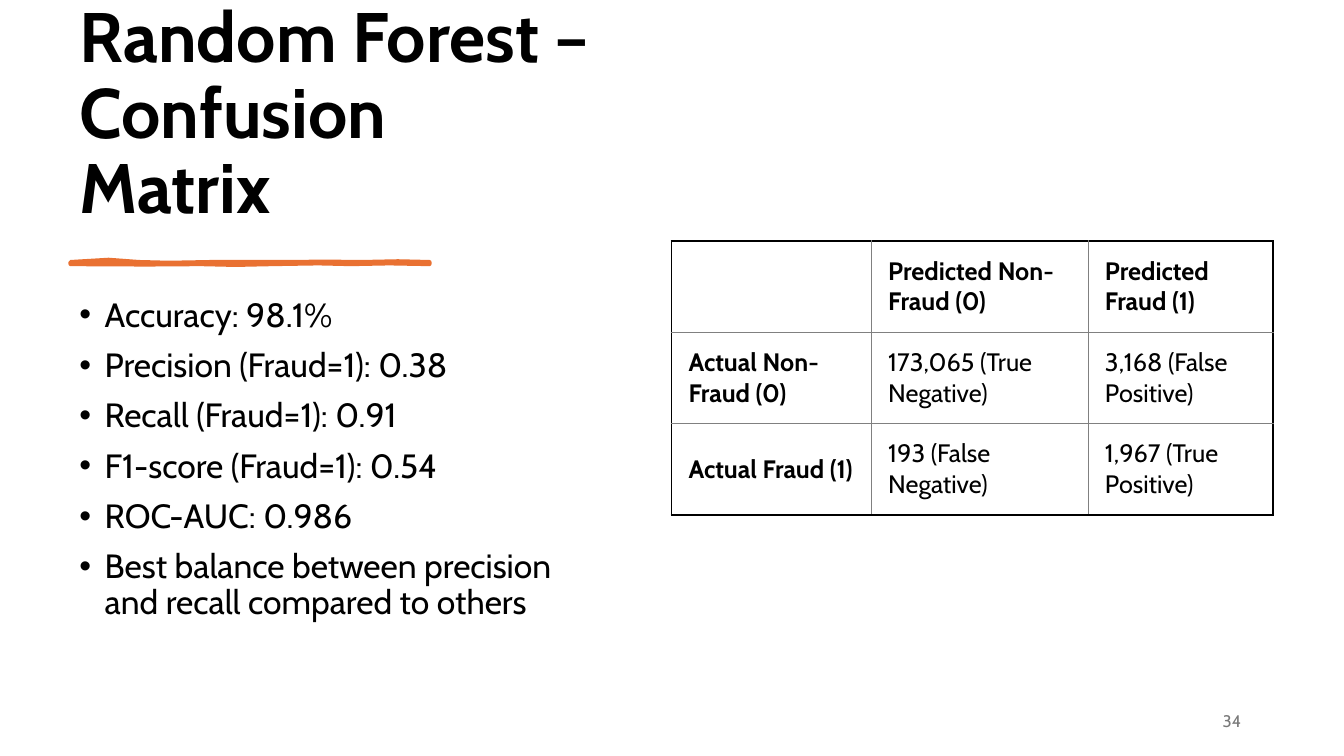
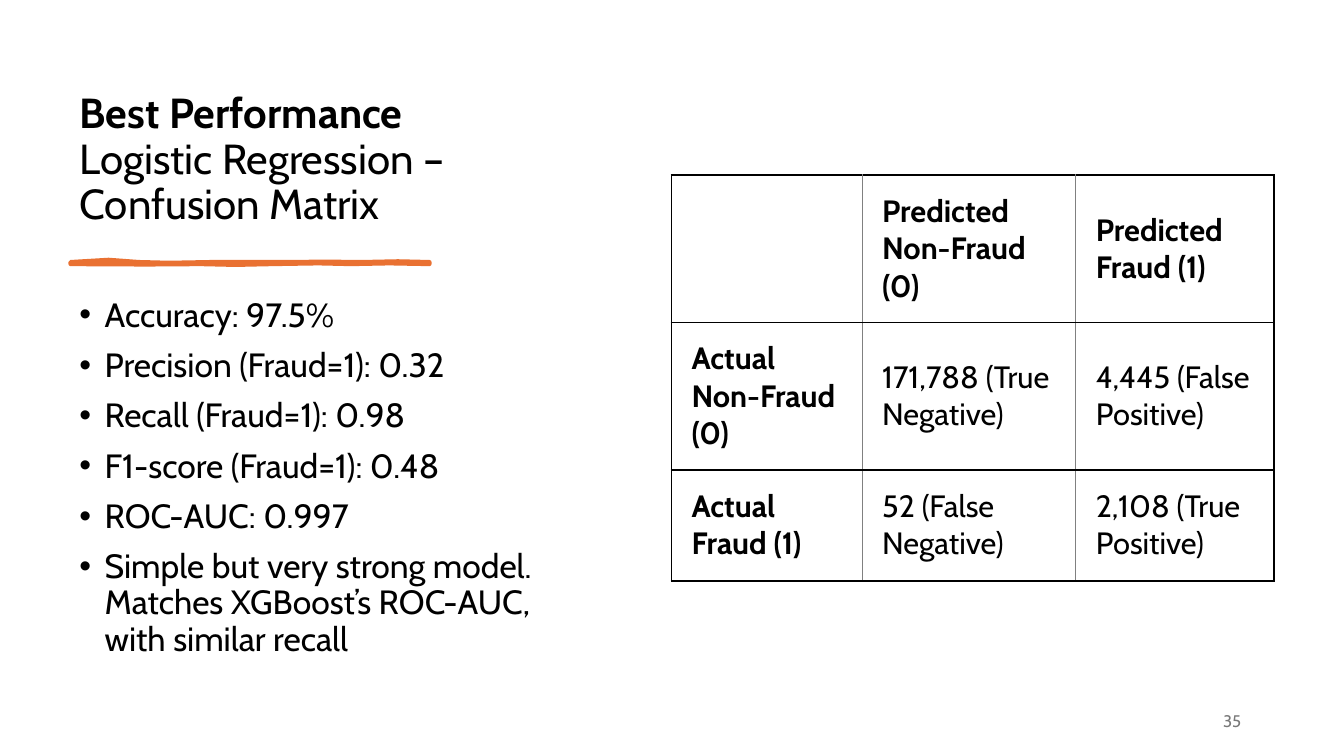
import pptx
import pptx.util
import pptx.dml.color
import pptx.enum.text
import pptx.oxml
import pptx.oxml.ns
from lxml import etree

Inches = pptx.util.Inches
Pt = pptx.util.Pt
PP_ALIGN = pptx.enum.text.PP_ALIGN
MSO_ANCHOR = pptx.enum.text.MSO_ANCHOR
qn = pptx.oxml.ns.qn

STROKE_START = (0.7, 2.6)
STROKE_CURVES = [
    (0.97, 2.57, 1.21, 2.57, 1.38, 2.6), (1.55, 2.62, 1.77, 2.6, 2.09, 2.6),
    (2.41, 2.59, 2.6, 2.61, 2.84, 2.6), (3.08, 2.58, 3.39, 2.61, 3.59, 2.6),
    (3.79, 2.58, 4.12, 2.6, 4.26, 2.6), (4.26, 2.6, 4.26, 2.61, 4.26, 2.62),
    (4.08, 2.62, 3.64, 2.6, 3.48, 2.62), (3.32, 2.63, 3.04, 2.59, 2.7, 2.62),
    (2.35, 2.64, 2.31, 2.62, 1.99, 2.62), (1.66, 2.61, 1.32, 2.64, 0.7, 2.62),
]


def curve_points(start, curves, steps=2):
    x0, y0 = start
    points = []
    for x1, y1, x2, y2, x3, y3 in curves:
        for i in range(1, steps + 1):
            t = i / steps
            u = 1 - t
            a, b, c, d = u ** 3, 3 * u * u * t, 3 * u * t * t, t ** 3
            points.append((Inches(a * x0 + b * x1 + c * x2 + d * x3),
                           Inches(a * y0 + b * y1 + c * y2 + d * y3)))
        x0, y0 = x3, y3
    return points


class Deck:
    FONT = "Cabin"
    COLORS = {"text": "000000", "accent": "E97132", "grid": "808080",
              "number": "797979", "background": "FFFFFF"}

    def __init__(self):
        self.prs = pptx.Presentation()
        self.prs.slide_width = Inches(13.33)
        self.prs.slide_height = Inches(7.5)
        self.s = None

    def color(self, name):
        return pptx.dml.color.RGBColor.from_string(self.COLORS[name])

    def new_slide(self):
        self.s = self.prs.slides.add_slide(self.prs.slide_layouts[5])
        fill = self.s.background.fill
        fill.solid()
        fill.fore_color.rgb = self.color("background")

    def run(self, p, text, size, bold=False, color="text"):
        r = p.add_run()
        r.text = text
        r.font.name = self.FONT
        r.font.size = Pt(size)
        r.font.bold = bold
        r.font.color.rgb = self.color(color)

    def text_box(self, left, top, width, height, anchor):
        tb = self.s.shapes.add_textbox(Inches(left), Inches(top), Inches(width), Inches(height))
        tf = tb.text_frame
        tf.word_wrap = True
        tf.vertical_anchor = anchor
        return tf

    def title(self, lines, size):
        sp = self.s.shapes.title
        sp.left, sp.top = Inches(0.69), Inches(0.7)
        sp.width, sp.height = Inches(5.27), Inches(1.62)
        tf = sp.text_frame
        tf.word_wrap = True
        tf.auto_size = pptx.enum.text.MSO_AUTO_SIZE.NONE
        tf.vertical_anchor = MSO_ANCHOR.BOTTOM
        p = tf.paragraphs[0]
        p.alignment = PP_ALIGN.LEFT
        p.line_spacing = 0.9
        for i, (text, bold) in enumerate(lines):
            if i:
                p.add_line_break()
            self.run(p, text, size, bold)

    def brush_stroke(self):
        fb = self.s.shapes.build_freeform(*map(Inches, STROKE_START))
        fb.add_line_segments(curve_points(STROKE_START, STROKE_CURVES), close=True)
        sp = fb.convert_to_shape()
        sp.shadow.inherit = False
        sp.fill.solid()
        sp.fill.fore_color.rgb = self.color("accent")
        sp.line.color.rgb = self.color("accent")
        sp.line.width = Pt(3)

    def bullets(self, items):
        tf = self.text_box(0.69, 2.91, 5.27, 3.88, MSO_ANCHOR.TOP)
        for i, text in enumerate(items):
            p = tf.add_paragraph() if i else tf.paragraphs[0]
            p.line_spacing = 0.9
            if i:
                p.space_before = Pt(10)
            pPr = p._p.get_or_add_pPr()
            pPr.set("marL", str(Inches(0.25)))
            pPr.set("indent", str(-Inches(0.25)))
            etree.SubElement(pPr, qn("a:buFont")).set("typeface", "Arial")
            etree.SubElement(pPr, qn("a:buChar")).set("char", "•")
            self.run(p, text, 24)

    def borders(self, cell, strong):
        tcPr = cell._tc.get_or_add_tcPr()
        for i, side in enumerate("LRTB"):
            name, width = ("text", 1.5) if side in strong else ("grid", 0.5)
            ln = etree.Element(qn("a:ln" + side), w=str(Pt(width)))
            fill = etree.SubElement(ln, qn("a:solidFill"))
            etree.SubElement(fill, qn("a:srgbClr")).set("val", self.COLORS[name])
            tcPr.insert(i, ln)

    def matrix(self, top, cols, rows, cells, size, insets, strong_rows=False):
        shape = self.s.shapes.add_table(len(rows), len(cols), Inches(6.66), Inches(top),
                                        Inches(sum(cols)), Inches(sum(rows)))
        table = shape.table
        table.first_row = table.horz_banding = False
        for column, width in zip(table.columns, cols):
            column.width = Inches(width)
        for row, height in zip(table.rows, rows):
            row.height = Inches(height)
        for i, texts in enumerate(cells):
            for j, text in enumerate(texts):
                cell = table.cell(i, j)
                cell.fill.background()
                cell.vertical_anchor = MSO_ANCHOR.MIDDLE
                (cell.margin_left, cell.margin_top,
                 cell.margin_right, cell.margin_bottom) = map(Inches, insets)
                edges = {"L": j == 0, "R": j == len(cols) - 1,
                         "T": strong_rows or i == 0,
                         "B": strong_rows or i == len(rows) - 1}
                self.borders(cell, [side for side, on in edges.items() if on])
                if text:
                    self.run(cell.text_frame.paragraphs[0], text, size, i == 0 or j == 0)

    def slide_number(self, number):
        p = self.text_box(9.41, 6.95, 3, 0.4, MSO_ANCHOR.MIDDLE).paragraphs[0]
        p.alignment = PP_ALIGN.RIGHT
        self.run(p, str(number), 12, color="number")

    def model_slide(self, number, title, title_size, scores, remark, counts, **layout):
        self.new_slide()
        self.title(title, title_size)
        self.brush_stroke()
        labels = ("Accuracy", "Precision (Fraud=1)", "Recall (Fraud=1)",
                  "F1-score (Fraud=1)", "ROC-AUC")
        self.bullets([f"{label}: {score}" for label, score in zip(labels, scores)] + [remark])
        tn, fp, fn, tp = counts
        cells = [
            ["", "Predicted Non-Fraud (0)", "Predicted Fraud (1)"],
            ["Actual Non-Fraud (0)", f"{tn} (True Negative)", f"{fp} (False Positive)"],
            ["Actual Fraud (1)", f"{fn} (False Negative)", f"{tp} (True Positive)"],
        ]
        self.matrix(cells=cells, **layout)
        self.slide_number(number)


def main():
    deck = Deck()
    deck.model_slide(
        34, [("Random Forest – Confusion Matrix", True)], 50,
        ("98.1%", "0.38", "0.91", "0.54", "0.986"),
        "Best balance between precision and recall compared to others",
        ("173,065", "3,168", "193", "1,967"),
        top=2.39, cols=(1.98, 2.15, 1.84), rows=[2.72 / 3] * 3,
        size=18, insets=(0.17, 0.13, 0.13, 0.13))
    deck.model_slide(
        35, [("Best Performance", True), ("Logistic Regression – Confusion Matrix", False)], 30,
        ("97.5%", "0.32", "0.98", "0.48", "0.997"),
        "Simple but very strong model. Matches XGBoost’s ROC-AUC, with similar recall",
        ("171,788", "4,445", "52", "2,108"),
        top=1.74, cols=(1.89, 2.12, 1.97), rows=(1.46, 1.46, 1.1),
        size=22, insets=(0.2, 0.15, 0.2, 0.15), strong_rows=True)
    deck.prs.save("out.pptx")


if __name__ == "__main__":
    main()
